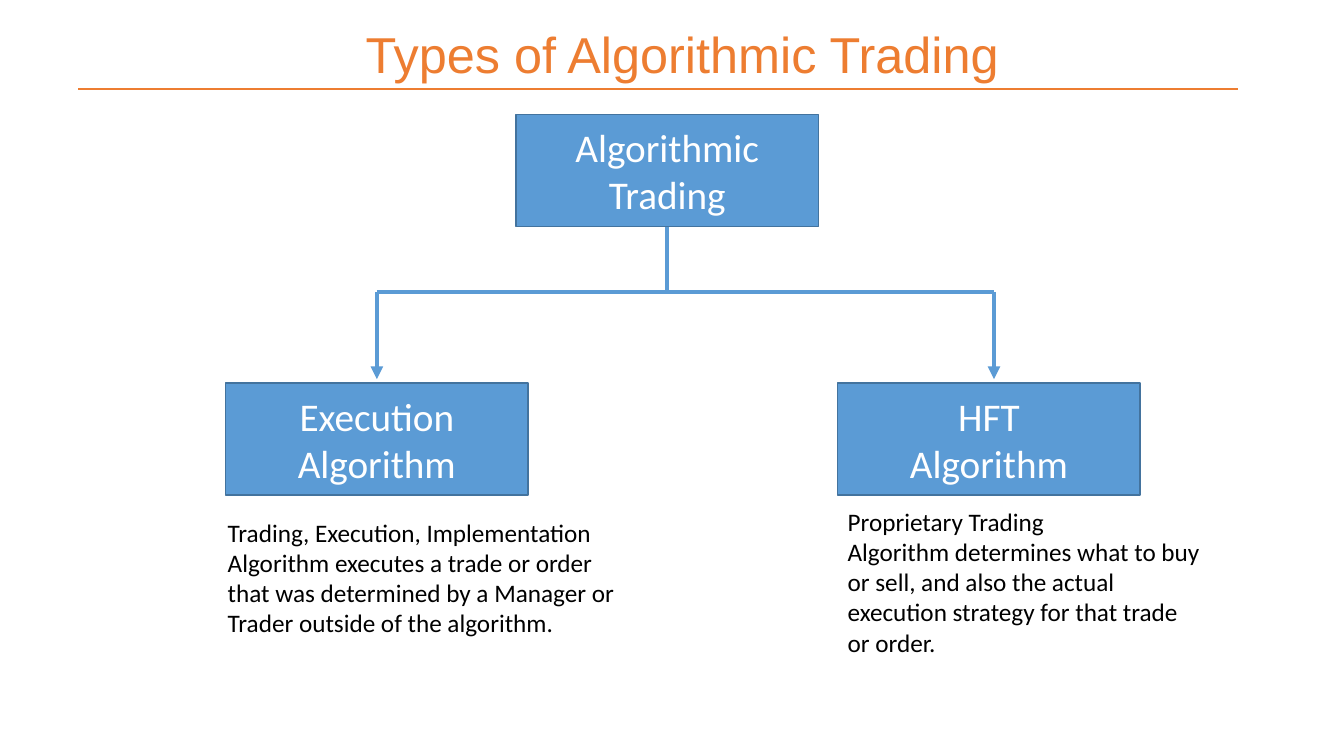
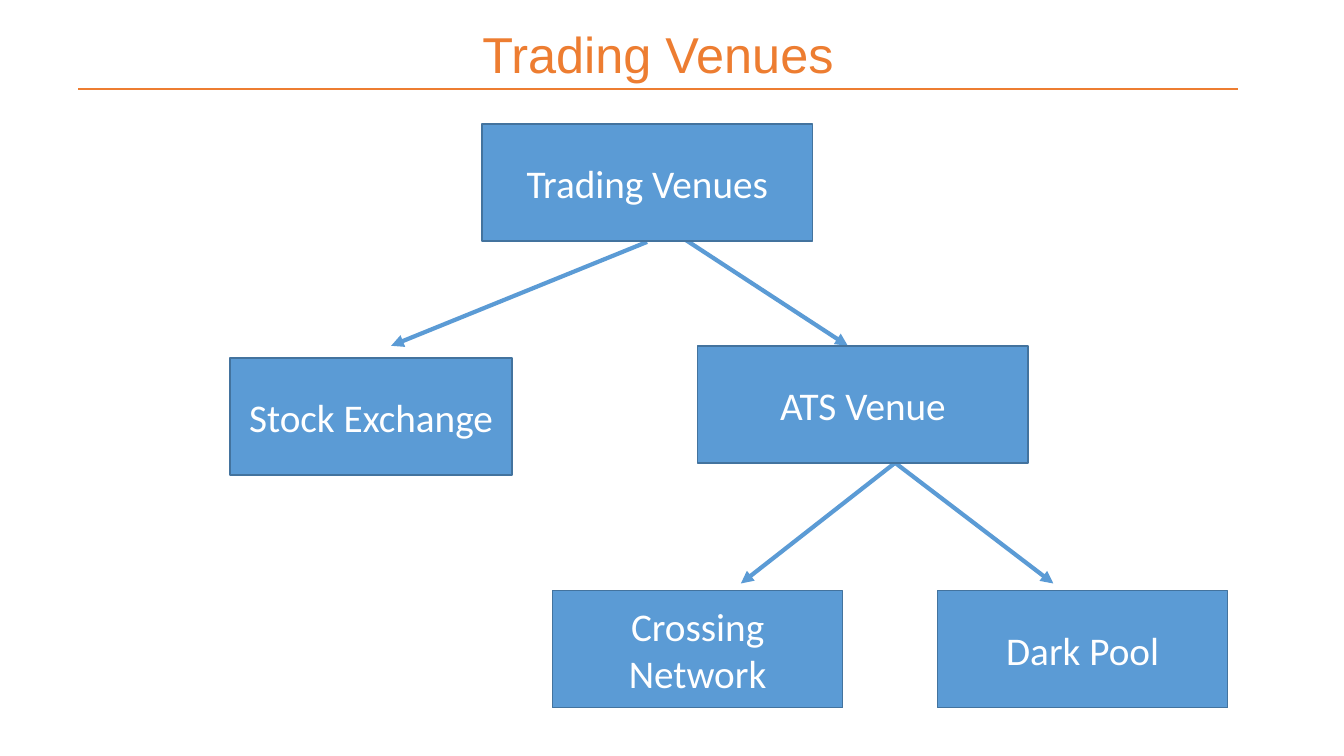
from collections import namedtuple

from lxml import etree
from pptx import Presentation
from pptx.dml.color import RGBColor
from pptx.enum.shapes import MSO_CONNECTOR, MSO_SHAPE
from pptx.enum.text import MSO_ANCHOR, MSO_AUTO_SIZE, PP_ALIGN
from pptx.oxml.ns import qn
from pptx.util import Inches, Pt

RECT = MSO_SHAPE.RECTANGLE
LINE = MSO_CONNECTOR.STRAIGHT
MIDDLE, BOTTOM = MSO_ANCHOR.MIDDLE, MSO_ANCHOR.BOTTOM
LEFT, CENTER = PP_ALIGN.LEFT, PP_ALIGN.CENTER
FIXED = MSO_AUTO_SIZE.NONE

# The slide is a grid of 48 columns by 27 rows of square cells.
COLS, ROWS = 48, 27
WIDTH, HEIGHT = Inches(13.33), Inches(7.5)

ORANGE, BLUE, EDGE = "ED7D31", "5B9BD5", "43739E"
WHITE, BLACK = "FFFFFF", "000000"
HEAD, BODY = "Arial", "Calibri"

Box = namedtuple("Box", "x y w h")
MAIN = Box(0, 4, COLS, ROWS - 4)
RULE = Box(2.8, 3.17, 41.4, 0)


def rgb(color):
    return RGBColor.from_string(color)


def place(x, y):
    """Turn columns and rows into slide lengths."""
    return int(x * WIDTH / COLS), int(y * HEIGHT / ROWS)


def inside(area, x, y, w, h):
    return Box(area.x + x, area.y + y, w, h)


def center(box):
    return box.x + box.w / 2


def write(frame, text, size, font, color, align):
    frame.word_wrap = True
    frame.text = text
    for para in frame.paragraphs:
        para.alignment = align
        for run in para.runs:
            run.font.size = Pt(size)
            run.font.name = font
            run.font.color.rgb = rgb(color)


def link(slide, start, end, color=BLUE, width=3, arrow=False):
    line = slide.shapes.add_connector(LINE, *place(*start), *place(*end))
    line.line.color.rgb = rgb(color)
    line.line.width = Pt(width)
    if arrow:
        tip = etree.SubElement(line.line._get_or_add_ln(), qn("a:tailEnd"))
        tip.set("type", "triangle")
    etree.SubElement(line._element.spPr, qn("a:effectLst"))


def node(slide, box, text):
    shape = slide.shapes.add_shape(
        RECT, *place(box.x, box.y), *place(box.w, box.h))
    shape.shadow.inherit = False
    shape.fill.solid()
    shape.fill.fore_color.rgb = rgb(BLUE)
    shape.line.color.rgb = rgb(EDGE)
    shape.line.width = Pt(1)
    shape.text_frame.vertical_anchor = MIDDLE
    write(shape.text_frame, text, 28, BODY, WHITE, CENTER)


def note(slide, box, text):
    shape = slide.shapes.add_textbox(
        *place(box.x, box.y), *place(box.w, box.h))
    write(shape.text_frame, text, 18, BODY, BLACK, LEFT)


def start(deck, text, left, width):
    """Add a slide with its title and the rule below it."""
    slide = deck.slides.add_slide(deck.slide_layouts[5])
    title = slide.shapes.title
    title.left, title.top = place(left, 0.94)
    title.width, title.height = place(width, 2.23)
    frame = title.text_frame
    frame.auto_size = FIXED
    frame.vertical_anchor = BOTTOM
    write(frame, text, 36, HEAD, ORANGE, CENTER)
    frame.paragraphs[0].line_spacing = 0.8
    link(slide, (RULE.x, RULE.y), (RULE.x + RULE.w, RULE.y), ORANGE, 1.5)
    return slide


def types(slide, area):
    """Fork from one root to two leaves, each with a note below."""
    w, h = 10.8, 4
    root = inside(area, 18.43, 0.1, w, h)
    leaves = [
        (inside(area, 8.06, 9.68, w, h), 0, "Execution Algorithm",
         inside(area, 7.78, 14.29, 14.9, 4.72),
         "Trading, Execution, Implementation\n"
         "Algorithm executes a trade or order that was determined by "
         "a Manager or Trader outside of the algorithm."),
        (inside(area, 29.92, 9.68, w, h), 0.18, "HFT\nAlgorithm",
         inside(area, 29.92, 13.89, 13.36, 5.83),
         "Proprietary Trading\n"
         "Algorithm determines what to buy or sell, and also the actual "
         "execution strategy for that trade or order."),
    ]
    bar = area.y + 6.44
    node(slide, root, "Algorithmic Trading")
    link(slide, (center(root), root.y + h), (center(root), bar))
    ends = []
    for box, shift, name, spot, text in leaves:
        x = center(box) + shift
        ends.append((x, bar))
        link(slide, (x, bar), (x, box.y - 0.14), arrow=True)
        node(slide, box, name)
        note(slide, spot, text)
    link(slide, *ends)


def venues(slide, area):
    """Draw the tree of venues, with arrows behind the boxes."""
    arrows = [
        (23.11, 3.67, 30.28, 8.35),
        (23.11, 4.64, 13.97, 8.35),
        (31.97, 12.53, 37.62, 16.84),
        (31.97, 12.53, 26.46, 16.84),
    ]
    nodes = [
        ("Trading Venues", 17.21, 0.43, 11.81),
        ("Stock Exchange", 8.21, 8.78, 10.08),
        ("ATS Venue", 24.91, 8.35, 11.81),
        ("Crossing Network", 19.73, 17.1, 10.37),
        ("Dark Pool", 33.48, 17.1, 10.37),
    ]
    for x, y, to_x, to_y in arrows:
        link(slide, (area.x + x, area.y + y),
             (area.x + to_x, area.y + to_y), arrow=True)
    for name, x, y, w in nodes:
        node(slide, inside(area, x, y, w, 4.18), name)


def main():
    deck = Presentation()
    deck.slide_width, deck.slide_height = WIDTH, HEIGHT
    types(start(deck, "Types of Algorithmic Trading", 9, 30.74), MAIN)
    venues(start(deck, "Trading Venues", RULE.x, RULE.w), MAIN)
    deck.save("out.pptx")


if __name__ == "__main__":
    main()
